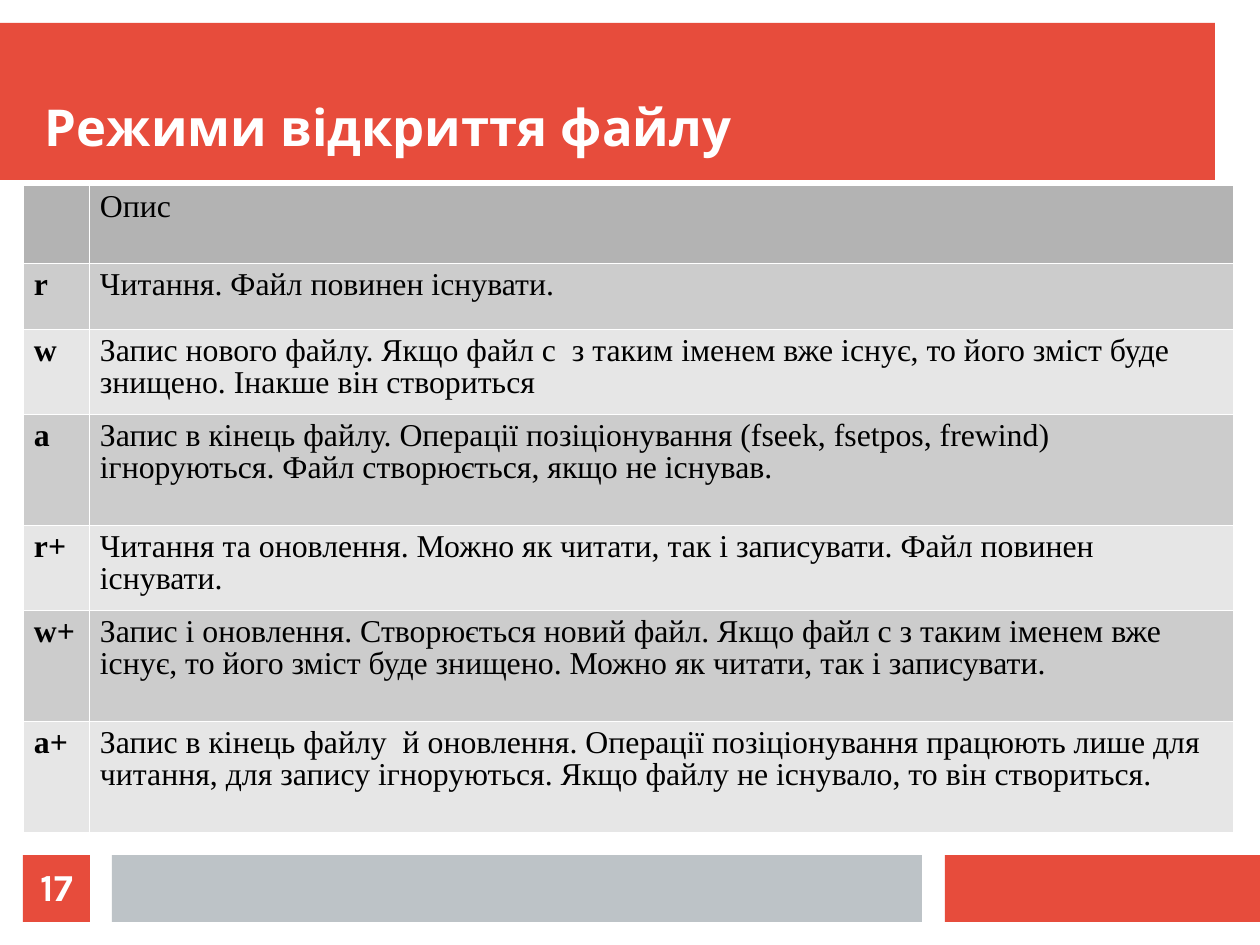
from lxml import etree
from pptx import Presentation
from pptx import util as u
from pptx.dml.color import RGBColor
from pptx.enum import shapes, text
from pptx.oxml.ns import qn

# Content
TITLE = "Режими відкриття файлу"
PAGE_NUMBER = "17"
MODES = [
    ("", "Опис"),
    ("r", "Читання. Файл повинен існувати."),
    ("w", "Запис нового файлу. Якщо файл с  з таким іменем вже існує, "
          "то його зміст буде знищено. Інакше він створиться"),
    ("a", "Запис в кінець файлу. Операції позіціонування (fseek, fsetpos, frewind) "
          "ігноруються. Файл створюється, якщо не існував."),
    ("r+", "Читання та оновлення. Можно як читати, так і записувати. "
           "Файл повинен існувати."),
    ("w+", "Запис і оновлення. Створюється новий файл. Якщо файл с з таким іменем вже "
           "існує, то його зміст буде знищено. Можно як читати, так і записувати."),
    ("a+", "Запис в кінець файлу  й оновлення. Операції позіціонування працюють лише для "
           "читання, для запису ігноруються. Якщо файлу не існувало, то він створиться."),
]

# Layout in px
PX = 8000
PAGE = (1260, 945)
TITLE_BAND = (0, 23, 1215, 157)
TITLE_BOX = (45, 46, 1169, 112)
FOOTER_TOP, FOOTER_HEIGHT = 855, 67
TABLE_LEFT, TABLE_TOP = 23, 185
COLUMNS = (66, 1144)
ROWS = (78, 66, 85, 111, 85, 111, 111)
CELL_PAD_X, CELL_PAD_Y = 11, 6


class Theme:
    accent, footer, white, ink = "E74C3C", "BDC3C7", "FFFFFF", "000000"
    header, bands = "B3B3B3", ("CCCCCC", "E6E6E6")
    heading_font, body_font = "Karla", "Times New Roman"
    title_size, number_size, body_size = 32, 24, 20
    heading_spacing, body_spacing = 0.98, 0.93
    border_width = 0.06


def px(values):
    return [u.Emu(value * PX) for value in values]


def paint(part, color):
    part.fill.solid()
    part.fill.fore_color.rgb = RGBColor.from_string(color)


def add_block(page, area, color):
    block = page.shapes.add_shape(shapes.MSO_SHAPE.RECTANGLE, *px(area))
    block.shadow.inherit = False
    paint(block, color)
    block.line.fill.background()
    return block


def write(frame, words, font, size, color, bold, spacing):
    frame.text = words
    para = frame.paragraphs[0]
    para.line_spacing = spacing
    for span in para.runs:
        span.font.name = font
        span.font.size = u.Pt(size)
        span.font.bold = bold
        span.font.color.rgb = RGBColor.from_string(color)
    return para


def write_heading(box, words, size, anchor):
    frame = box.text_frame
    frame.word_wrap = True
    frame.vertical_anchor = anchor
    frame.margin_left = frame.margin_right = frame.margin_top = frame.margin_bottom = 0
    return write(frame, words, Theme.heading_font, size, Theme.white, True,
                 Theme.heading_spacing)


def add_borders(cell):
    properties = cell._tc.get_or_add_tcPr()
    for position, side in enumerate(("a:lnL", "a:lnR", "a:lnT", "a:lnB")):
        line = etree.Element(qn(side), w=str(u.Pt(Theme.border_width)))
        fill = etree.SubElement(line, qn("a:solidFill"))
        etree.SubElement(fill, qn("a:srgbClr"), val=Theme.white)
        properties.insert(position, line)


def add_modes_table(page):
    area = (TABLE_LEFT, TABLE_TOP, sum(COLUMNS), sum(ROWS))
    table = page.shapes.add_table(len(MODES), len(COLUMNS), *px(area)).table
    for column, width in zip(table.columns, px(COLUMNS)):
        column.width = width
    for row, height in zip(table.rows, px(ROWS)):
        row.height = height
    for r, mode in enumerate(MODES):
        color = Theme.bands[(r - 1) % 2] if r else Theme.header
        for c, words in enumerate(mode):
            cell = table.cell(r, c)
            cell.margin_left = cell.margin_right = u.Emu(CELL_PAD_X * PX)
            cell.margin_top = cell.margin_bottom = u.Emu(CELL_PAD_Y * PX)
            write(cell.text_frame, words, Theme.body_font, Theme.body_size,
                  Theme.ink, c == 0, Theme.body_spacing)
            paint(cell, color)
            add_borders(cell)


def main():
    deck = Presentation()
    deck.slide_width, deck.slide_height = px(PAGE)
    page = deck.slides.add_slide(deck.slide_layouts[6])

    # Title band and footer blocks
    add_block(page, TITLE_BAND, Theme.accent)
    footer = [(945, 315, Theme.accent), (112, 810, Theme.footer), (23, 67, Theme.accent)]
    for left, width, color in footer:
        block = add_block(page, (left, FOOTER_TOP, width, FOOTER_HEIGHT), color)

    # Page number in the last, leftmost block
    para = write_heading(block, PAGE_NUMBER, Theme.number_size, text.MSO_ANCHOR.MIDDLE)
    para.alignment = text.PP_ALIGN.CENTER

    # Table of modes
    add_modes_table(page)

    # Title
    title = page.shapes.add_textbox(*px(TITLE_BOX))
    write_heading(title, TITLE, Theme.title_size, text.MSO_ANCHOR.BOTTOM)

    deck.save("out.pptx")


if __name__ == "__main__":
    main()
